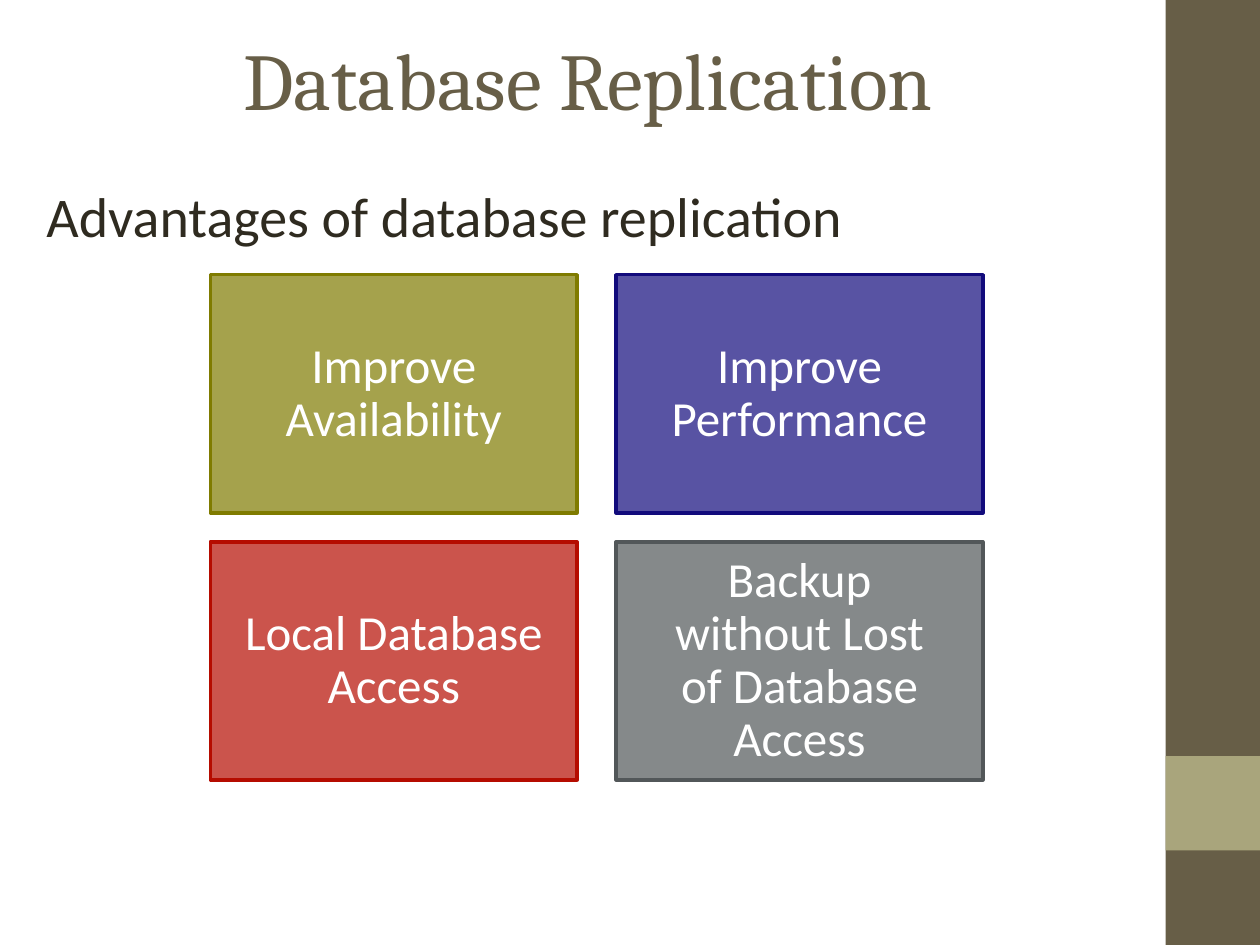
from dataclasses import dataclass

from lxml.etree import SubElement
from pptx import Presentation
from pptx.dml.color import RGBColor
from pptx.enum.shapes import MSO_SHAPE as Shape
from pptx.enum.text import MSO_ANCHOR as Anchor, PP_ALIGN as Align
from pptx.oxml.ns import qn
from pptx.shapes.autoshape import Shape as AutoShape
from pptx.slide import Slide
from pptx.util import Inches, Pt

BROWN, SAGE, INK, WHITE = "675E47", "A9A57C", "2F2B20", "FFFFFF"
CARD_LEFT, CARD_TOP = 1.67, 2.18
CARD_WIDTH, CARD_HEIGHT = 2.91, 1.89
COLUMN_STEP, ROW_STEP = 3.22, 2.12


@dataclass(frozen=True)
class Box:
    left: float
    top: float
    width: float
    height: float

    def lengths(self) -> list[Inches]:
        return [Inches(v) for v in (self.left, self.top, self.width, self.height)]


@dataclass(frozen=True)
class Advantage:
    wording: str
    color: str


ADVANTAGES = [
    Advantage("Improve Availability", "7F7B00"),
    Advantage("Improve Performance", "120B7C"),
    Advantage("Local Database Access", "B50C00"),
    Advantage("Backup without Lost of Database Access", "525759"),
]


def rgb(value: str) -> RGBColor:
    return RGBColor.from_string(value)


def write(shape: AutoShape, wording: str, color: str, font: dict,
          frame: dict, paragraph: dict) -> None:
    """Put one styled paragraph into the shape."""
    text_frame = shape.text_frame
    text_frame.text = wording
    line = text_frame.paragraphs[0]
    styles = [
        (text_frame, {"word_wrap": True} | frame),
        (line, paragraph),
        (line.font, font),
    ]
    for target, values in styles:
        for name, value in values.items():
            setattr(target, name, value)
    line.font.color.rgb = rgb(color)


def add_block(slide: Slide, box: Box, color: str) -> AutoShape:
    """Draw a flat rectangle without outline or shadow."""
    block = slide.shapes.add_shape(Shape.RECTANGLE, *box.lengths())
    block.shadow.inherit = False
    block.fill.solid()
    block.fill.fore_color.rgb = rgb(color)
    block.line.fill.background()
    return block


def add_card(slide: Slide, box: Box, advantage: Advantage) -> None:
    card = add_block(slide, box, advantage.color)
    fill_color = card.fill._xPr.find(qn("a:solidFill"))[0]
    SubElement(fill_color, qn("a:alpha"), val="70000")
    card.line.color.rgb = rgb(advantage.color)
    card.line.width = Pt(2)
    margins = {f"margin_{side}": Inches(0.27)
               for side in ("left", "top", "right", "bottom")}
    write(card, advantage.wording, WHITE,
          {"name": "Calibri", "size": Pt(28)},
          margins | {"vertical_anchor": Anchor.MIDDLE},
          {"alignment": Align.CENTER, "line_spacing": 0.9})


def main() -> None:
    deck = Presentation()
    deck.slide_width, deck.slide_height = Inches(10), Inches(7.5)
    slide = deck.slides.add_slide(deck.slide_layouts[6])

    add_block(slide, Box(9.25, 0, 0.75, 7.5), BROWN)
    add_block(slide, Box(9.25, 6, 0.75, 0.75), SAGE)

    title = slide.shapes.add_textbox(*Box(0.5, 0, 8.33, 1.25).lengths())
    write(title, "Database Replication", BROWN,
          {"name": "Cambria", "size": Pt(46)},
          {"vertical_anchor": Anchor.MIDDLE}, {"alignment": Align.CENTER})

    heading = slide.shapes.add_textbox(*Box(0.27, 1.39, 9.47, 1.18).lengths())
    write(heading, "Advantages of database replication", INK,
          {"name": "Calibri", "size": Pt(32)},
          {"vertical_anchor": Anchor.TOP}, {"alignment": Align.LEFT})

    for index, advantage in enumerate(ADVANTAGES):
        row, column = divmod(index, 2)
        add_card(slide, Box(CARD_LEFT + column * COLUMN_STEP,
                            CARD_TOP + row * ROW_STEP,
                            CARD_WIDTH, CARD_HEIGHT), advantage)

    deck.save("out.pptx")


if __name__ == "__main__":
    main()
